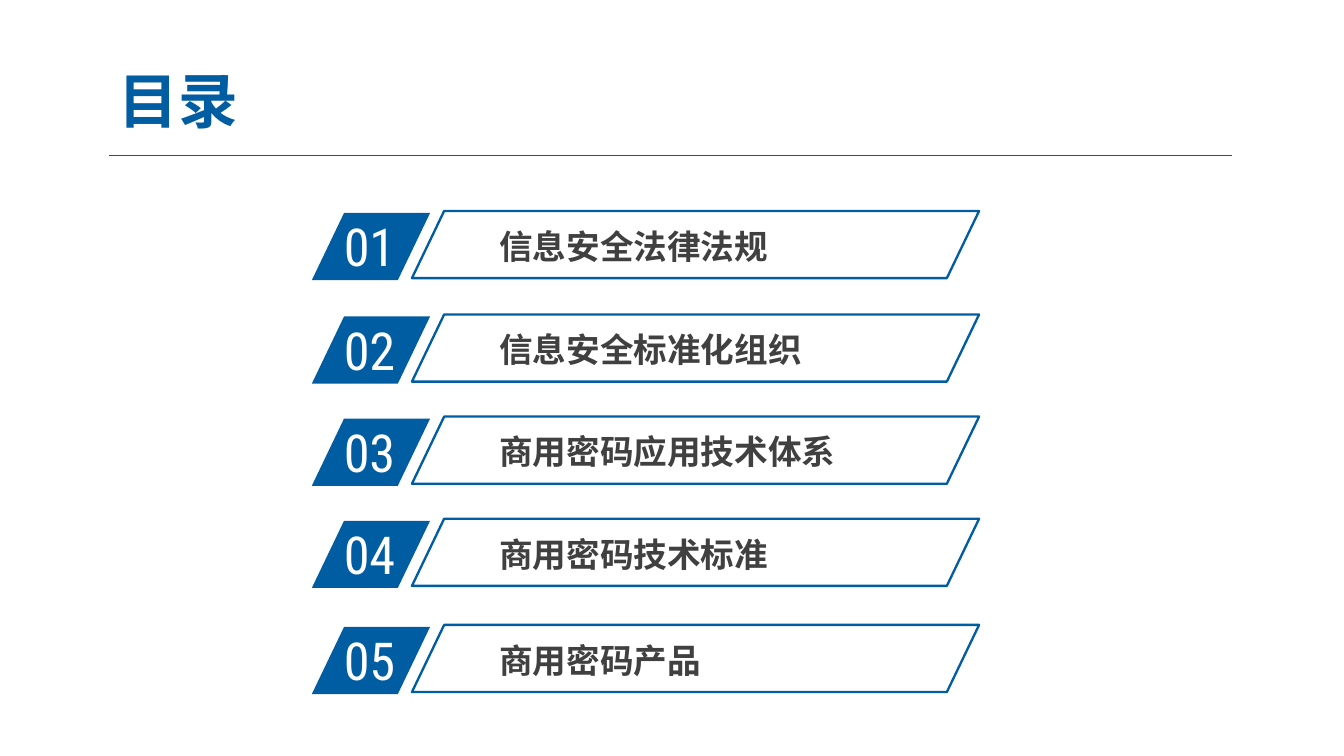
from lxml import etree
from pptx import Presentation
from pptx.dml.color import RGBColor
from pptx.enum.shapes import MSO_CONNECTOR, MSO_SHAPE
from pptx.enum.text import MSO_ANCHOR, PP_ALIGN
from pptx.oxml.ns import qn
from pptx.util import Inches, Pt

BLUE = RGBColor(0x00, 0x5D, 0xA2)
RULE = RGBColor(0x00, 0x5B, 0x9E)
GREY = RGBColor(0x40, 0x40, 0x40)
WHITE = RGBColor(0xFF, 0xFF, 0xFF)
SLANT = MSO_SHAPE.PARALLELOGRAM
STRAIGHT = MSO_CONNECTOR.STRAIGHT
TOP, MIDDLE = MSO_ANCHOR.TOP, MSO_ANCHOR.MIDDLE
LEFT, CENTER = PP_ALIGN.LEFT, PP_ALIGN.CENTER
HAN, DIGIT = "Noto Sans CJK SC", "Roboto Condensed"
WIDTH = Inches(10)
HEIGHT = WIDTH * 9 // 16
CELL = WIDTH // 100  # square grid cell, 100 columns across

# Top row of each bar and its topic
TOPICS = [
    (15.7, "信息安全法律法规"),
    (23.4, "信息安全标准化组织"),
    (31.0, "商用密码应用技术体系"),
    (38.6, "商用密码技术标准"),
    (46.5, "商用密码产品"),
]


def grid(*cells):
    return [round(cell * CELL) for cell in cells]


class Agenda:
    """Style and current slide; all lengths are grid columns and rows."""

    def __init__(self, deck):
        self.slide = deck.slides.add_slide(deck.slide_layouts[6])
        self.shapes = self.slide.shapes

    def text(self, home, box, words, size, font, color, bold=False,
             align=LEFT, anchor=TOP, inset=(1, 0.5)):
        frame = home.add_textbox(*grid(*box)).text_frame
        frame.word_wrap = True
        frame.vertical_anchor = anchor
        side, edge = grid(*inset)
        frame.margin_left = frame.margin_right = side
        frame.margin_top = frame.margin_bottom = edge
        frame.text = words
        para = frame.paragraphs[0]
        para.alignment = align
        run = para.runs[0]
        run.font.size = Pt(size)
        run.font.bold = bold
        run.font.color.rgb = color
        run.font.name = font
        # Chinese glyphs take their font from the East Asian slot
        east = etree.SubElement(run.font._element, qn("a:ea"))
        east.set("typeface", font)

    def rule(self, left, right, row):
        line = self.shapes.add_connector(STRAIGHT, *grid(left, row, right, row))
        line.line.color.rgb = RULE
        line.line.width = Pt(0.75)
        etree.SubElement(line._element.spPr, qn("a:effectLst"))

    def slant(self, home, box, solid):
        shape = home.add_shape(SLANT, *grid(*box))
        shape.adjustments[0] = 0.48
        shape.shadow.inherit = False
        if solid:
            shape.fill.solid()
            shape.fill.fore_color.rgb = BLUE
            shape.line.fill.background()
        else:
            shape.fill.background()
            shape.line.color.rgb = BLUE
            shape.line.width = Pt(1.25)

    def topic(self, number, row, words):
        """Group a numbered tab with its outlined bar."""
        home = self.shapes.add_group_shape().shapes
        self.slant(home, (23.2, row + 0.15, 8.8, 5), True)
        self.text(home, (24.6, row - 0.25, 8.4, 4.9), f"{number:02d}",
                  28, DIGIT, WHITE)
        self.text(home, (36.45, row + 0.7, 30.9, 3.8), words,
                  18, HAN, GREY, bold=True, inset=(0.7, 0.4))
        self.slant(home, (30.65, row, 42.2, 5), False)


def main():
    deck = Presentation()
    deck.slide_width, deck.slide_height = WIDTH, HEIGHT
    page = Agenda(deck)
    page.text(page.shapes, (6.7, 4.7, 13.2, 5.4), "目录", 32, HAN, BLUE,
              bold=True, align=CENTER, anchor=MIDDLE)
    page.rule(8.1, 91.7, 11.58)
    for number, (row, words) in enumerate(TOPICS, 1):
        page.topic(number, row, words)
    deck.save("out.pptx")


if __name__ == "__main__":
    main()
